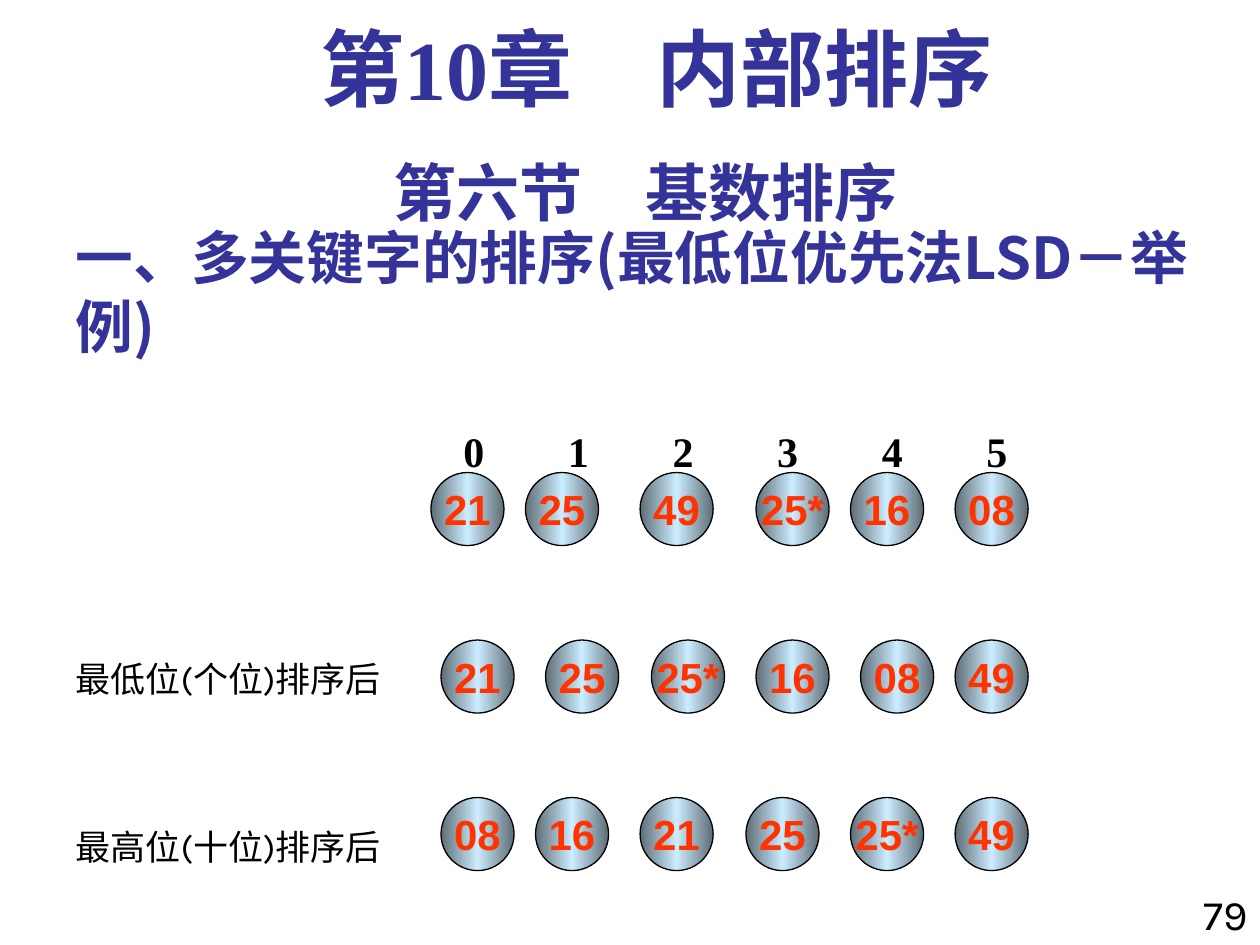
"""Build a slide that traces a least-significant-digit radix sort."""
from copy import deepcopy
from dataclasses import dataclass
from typing import Optional

from pptx import Presentation
from pptx import util as u
from pptx.dml import color
from pptx.enum import shapes, text
from pptx.oxml import ns, xmlchemy as xc

CJK = "Noto Sans CJK SC"
BLUE, RED, BLACK = "333399", "FF3300", "000000"
STEEL, ICE = "5E6D76", "CCECFF"
SIZE = 0.58
LEFT, MID, RIGHT = text.PP_ALIGN.LEFT, text.PP_ALIGN.CENTER, text.PP_ALIGN.RIGHT


@dataclass
class Style:
    name: str
    size: float
    hue: str
    bold: bool = False
    align: text.PP_ALIGN = LEFT


@dataclass
class Label:
    lines: list[str]
    box: tuple[float, float, float, float]
    style: Style
    form: Optional[dict] = None
    tab: float = 0


@dataclass
class Row:
    top: float
    keys: str
    lefts: list[float]


def rgb(hue: str) -> color.RGBColor:
    return color.RGBColor.from_string(hue)


def put(item, values: dict) -> None:
    for key, value in values.items():
        setattr(item, key, value)


def add_tabs(para, step: float) -> None:
    tabs = xc.OxmlElement("a:tabLst")
    for i in range(1, para.text.count("\t") + 1):
        tab = xc.OxmlElement("a:tab")
        tab.set("pos", str(u.Inches(i * step)))
        tab.set("algn", "l")
        tabs.append(tab)
    para._p.get_or_add_pPr().append(tabs)


def paint(para, style: Style) -> None:
    para.alignment = style.align
    for run in para.runs:
        put(run.font, {"name": style.name, "size": u.Pt(style.size), "bold": style.bold})
        run.font.color.rgb = rgb(style.hue)
        east = xc.OxmlElement("a:ea")
        east.set("typeface", CJK)
        run.font._element.find(ns.qn("a:latin")).addnext(east)


def write(shape, label: Label) -> None:
    frame = shape.text_frame
    put(frame, {"word_wrap": True, "auto_size": text.MSO_AUTO_SIZE.NONE})
    frame.text = "\n".join(label.lines)
    for i, para in enumerate(frame.paragraphs):
        if label.tab:
            add_tabs(para, label.tab)
        paint(para, label.style)
        put(para, label.form or {})
        if i:
            para.space_before = u.Pt(72)


def add_label(slide, label: Label) -> None:
    write(slide.shapes.add_textbox(*map(u.Inches, label.box)), label)


def add_title(slide, label: Label) -> None:
    title = slide.shapes.title
    sides = ("left", "top", "width", "height")
    put(title, dict(zip(sides, map(u.Inches, label.box))))
    write(title, label)
    title.text_frame.vertical_anchor = text.MSO_ANCHOR.BOTTOM


def add_ball(slide, key: str, left: float, top: float) -> None:
    ball = slide.shapes.add_shape(
        shapes.MSO_SHAPE.OVAL, *map(u.Inches, (left, top, SIZE, SIZE)))
    ball.shadow.inherit = False
    put(ball.line, {"width": u.Pt(0.75)})
    ball.line.color.rgb = rgb(BLACK)
    ball.fill.gradient()
    ball.fill.gradient_angle = 0
    stops = ball._element.spPr.find(ns.qn("a:gradFill")).find(ns.qn("a:gsLst"))
    stops.insert(1, deepcopy(stops[0]))
    for stop, place, hue in zip(ball.fill.gradient_stops, (0, 0.5, 1), (STEEL, ICE, STEEL)):
        stop.position = place
        stop.color.rgb = rgb(hue)
    frame = ball.text_frame
    put(frame, {"word_wrap": False, "vertical_anchor": text.MSO_ANCHOR.MIDDLE})
    frame.text = key
    paint(frame.paragraphs[0], Style("Arial", 24, RED, True, MID))


def add_row(slide, row: Row) -> None:
    for key, left in zip(row.keys.split(), row.lefts):
        add_ball(slide, key, left, row.top)


HEAD = Label(["一、多关键字的排序(最低位优先法LSD－举例)"], (0.5, 2.17, 9.5, 0.74),
             Style(CJK, 33, BLUE, True), {"space_before": u.Pt(0)})
LABELS = [
    Label(["79"], (9.33, 7, 0.67, 0.58), Style("Karla", 24, BLACK, align=RIGHT)),
    Label(["第六节　基数排序"], (0.5, 1.17, 9.25, 0.7), Style("Karla", 36, BLUE, True, MID)),
    Label(["第10章　内部排序"], (0.67, 0.17, 9.08, 0.83),
          Style("Times New Roman", 48, BLUE, True, MID), {"line_spacing": 0.9}),
    Label(["\t".join(map(str, range(6)))], (3.58, 3.33, 4.87, 0.5),
          Style("Times New Roman", 24, BLACK, True), tab=0.83),
    Label(["最低位(个位)排序后", "最高位(十位)排序后"], (0.5, 5.17, 2.75, 2.44),
          Style("Karla", 20, BLACK)),
]
ROWS = [
    Row(3.75, "21 25 49 25* 16 08", [3.42, 4.17, 5.08, 6, 6.75, 7.58]),
    Row(5.08, "21 25 25* 16 08 49", [3.5, 4.33, 5.17, 6, 6.83, 7.58]),
    Row(6.33, "08 16 21 25 25* 49", [3.5, 4.25, 5.08, 5.92, 6.75, 7.58]),
]


def main() -> None:
    deck = Presentation()
    put(deck, {"slide_width": u.Inches(10), "slide_height": u.Inches(7.5)})
    slide = deck.slides.add_slide(deck.slide_layouts[5])
    add_title(slide, HEAD)
    for label in LABELS:
        add_label(slide, label)
    for row in ROWS:
        add_row(slide, row)
    deck.save("out.pptx")


if __name__ == "__main__":
    main()
